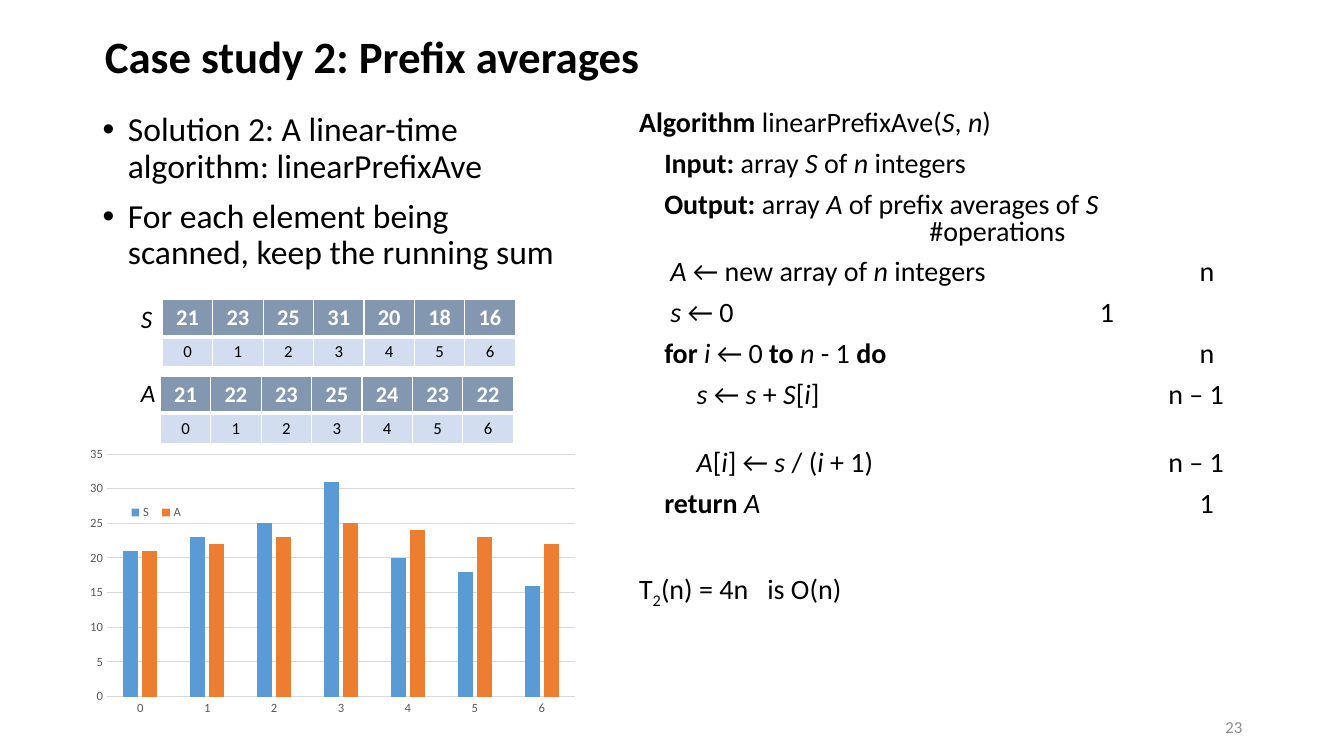
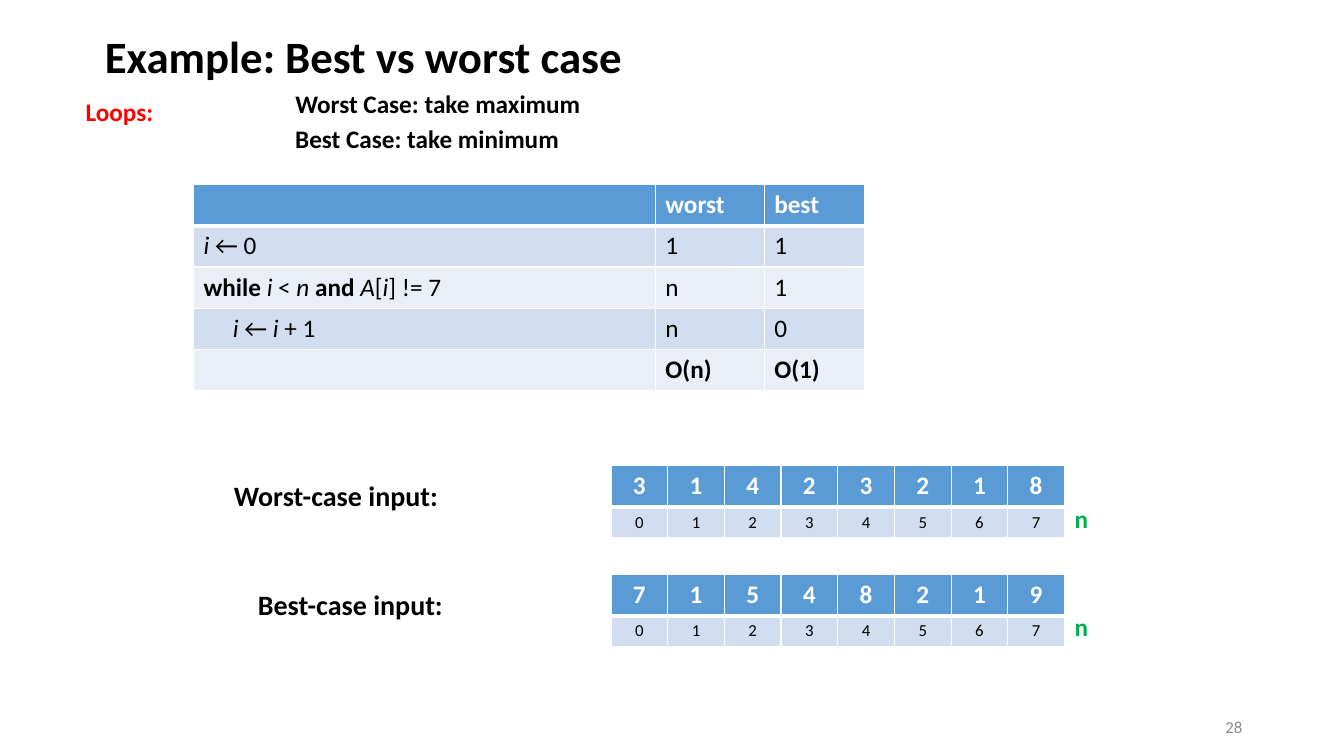
import pptx
import pptx.chart.data
import pptx.dml.color
import pptx.enum.chart
import pptx.enum.text
import pptx.oxml
import pptx.oxml.ns
import pptx.util
from pptx.util import Inches

FONT = "Calibri"
BLACK, WHITE, RED, GREEN = "000000", "FFFFFF", "FF0000", "00B050"
BLUE, ORANGE, SLATE = "5B9BD5", "ED7D31", "8497B0"
PALE, PALER = "D2DEEF", "EAEFF7"
GRID, AXIS_TEXT, NUMBER_TEXT = "D9D9D9", "595959", "8C8C8C"
ALIGN = pptx.enum.text.PP_ALIGN
ANCHOR = pptx.enum.text.MSO_ANCHOR
AUTO_SIZE = pptx.enum.text.MSO_AUTO_SIZE

PSEUDOCODE = [
    (0, [("Algorithm ", "b"), "linearPrefixAve(", ("S", "i"), ", ", ("n", "i"), ")"], 0, "", 10),
    (0.25, [("Input:", "b"), " array ", ("S", "i"), " of ", ("n", "i"), " integers"], 0, "", 10),
    (0.25, [("Output:", "b"), " array ", ("A", "i"), " of prefix averages of ", ("S", "i")], 0, "", 10),
    (2.88, ["#operations"], 0, "", 0),
    (0.31, [("A ", "i"), "← new array of ", ("n", "i"), " integers"], 5.56, "n", 10),
    (0.31, [("s ", "i"), "← 0"], 4.57, "1", 10),
    (0.25, [("for ", "b"), ("i ", "i"), "← 0 ", ("to ", "b"), ("n", "i"), " - 1 ", ("do", "b")],
     5.56, "n", 10),
    (0.57, [("s ", "i"), "← ", ("s", "i"), " + ", ("S", "i"), "[", ("i", "i"), "]"], 5.25, "n – 1", 10),
    (0.57, [("A", "i"), "[", ("i", "i"), "] ← ", ("s", "i"), " / (", ("i", "i"), " + 1)"],
     5.25, "n – 1", 29.5),
    (0.25, [("return ", "b"), ("A", "i")], 5.56, "1", 10),
    (0, ["T", ("2", "sub"), "(n) = 4n   is O(n)"], 0, "", 40),
]

COST_ROWS = [
    (0, [], "worst", "best"),
    (0, [("i ", "i"), "← 0"], "1", "1"),
    (0, [("while ", "b"), ("i", "i"), " < ", ("n ", "i"), ("and ", "b"), ("A", "i"), "[", ("i", "i"),
         "] != 7"], "n", "1"),
    (0.29, [("i ", "i"), "← ", ("i", "i"), " + 1"], "n", "0"),
    (0, [], "O(n)", "O(1)"),
]


def rgb(value):
    return pptx.dml.color.RGBColor.from_string(value)


def style_font(font, size, color, bold=False, italic=False):
    font.name = FONT
    font.size = pptx.util.Pt(size)
    font.color.rgb = rgb(color)
    font.bold = bold
    font.italic = italic


def add_runs(paragraph, pieces, size, color=BLACK, bold=False):
    for piece in pieces:
        text, style = (piece, "") if isinstance(piece, str) else piece
        run = paragraph.add_run()
        run.text = text
        style_font(run.font, size, color, bold or style == "b", style == "i")
        if style == "sub":
            run.font._element.set("baseline", "-25000")


def add_element(parent, tag, **attributes):
    element = pptx.oxml.ns.qn(tag)
    child = parent.makeelement(element, {name: str(value) for name, value in attributes.items()})
    parent.append(child)
    return child


def add_text_frame(slide, left, top, width, height):
    shape = slide.shapes.add_textbox(Inches(left), Inches(top), Inches(width), Inches(height))
    shape.text_frame.word_wrap = True
    return shape.text_frame


def add_paragraph(frame, is_first, line_spacing, space_before):
    paragraph = frame.paragraphs[0] if is_first else frame.add_paragraph()
    paragraph.line_spacing = line_spacing
    paragraph.space_before = pptx.util.Pt(space_before)
    return paragraph


def add_label(slide, left, top, width, height, text, size=18, color=BLACK, style="b"):
    frame = add_text_frame(slide, left, top, width, height)
    frame.word_wrap = False
    frame.auto_size = AUTO_SIZE.SHAPE_TO_FIT_TEXT
    add_runs(frame.paragraphs[0], [(text, style)], size, color)


def add_titled_slide(presentation, title, number):
    slide = presentation.slides.add_slide(presentation.slide_layouts[5])
    shape = slide.shapes.title
    shape.left, shape.top = Inches(0.94), Inches(0.13)
    shape.width, shape.height = Inches(11.5), Inches(0.92)
    frame = shape.text_frame
    frame.auto_size = AUTO_SIZE.NONE
    frame.vertical_anchor = ANCHOR.MIDDLE
    paragraph = frame.paragraphs[0]
    paragraph.alignment = ALIGN.LEFT
    paragraph.line_spacing = 0.9
    add_runs(paragraph, [title], 32, bold=True)

    number_frame = add_text_frame(slide, 9.42, 7.08, 3, 0.27)
    number_frame.vertical_anchor = ANCHOR.MIDDLE
    number_frame.paragraphs[0].alignment = ALIGN.RIGHT
    add_runs(number_frame.paragraphs[0], [str(number)], 12, NUMBER_TEXT)
    return slide


def add_bullets(slide, left, top, width, height, items):
    frame = add_text_frame(slide, left, top, width, height)
    for index, item in enumerate(items):
        paragraph = add_paragraph(frame, index == 0, 0.9, 10)
        properties = paragraph._p.get_or_add_pPr()
        properties.set("marL", str(Inches(0.25)))
        properties.set("indent", str(Inches(-0.25)))
        add_element(properties, "a:buFont", typeface="Arial")
        add_element(properties, "a:buChar", char="•")
        add_runs(paragraph, [item], 24)


def add_pseudocode(slide, left, top, width, height, lines):
    frame = add_text_frame(slide, left, top, width, height)
    for index, (indent, code, count_stop, count, space_before) in enumerate(lines):
        paragraph = add_paragraph(frame, index == 0, 0.8, space_before)
        stops = [stop for stop in (indent, count_stop) if stop]
        if stops:
            tab_list = add_element(paragraph._p.get_or_add_pPr(), "a:tabLst")
            for stop in stops:
                add_element(tab_list, "a:tab", pos=Inches(stop), algn="l")
        leading = ["\t"] if indent else []
        trailing = ["\t" + count] if count else []
        add_runs(paragraph, leading + code + trailing, 20)


def style_cell(cell, fill, bottom_width=1):
    cell.fill.solid()
    cell.fill.fore_color.rgb = rgb(fill)
    properties = cell._tc.get_or_add_tcPr()
    widths = (("L", 1), ("R", 1), ("T", 1), ("B", bottom_width))
    for position, (side, width) in enumerate(widths):
        line = add_element(properties, "a:ln" + side, w=pptx.util.Pt(width))
        add_element(add_element(line, "a:solidFill"), "a:srgbClr", val=WHITE)
        properties.insert(position, line)


def add_plain_table(slide, left, top, column_widths, row_heights):
    frame = slide.shapes.add_table(len(row_heights), len(column_widths), Inches(left), Inches(top),
                                   Inches(sum(column_widths)), Inches(sum(row_heights)))
    table = frame.table
    table.first_row = table.horz_banding = False
    for column, width in zip(table.columns, column_widths):
        column.width = Inches(width)
    for row, height in zip(table.rows, row_heights):
        row.height = Inches(height)
    return table


def add_array(slide, left, top, width, values, fill, size, value_height):
    count = len(values)
    table = add_plain_table(slide, left, top, [width / count] * count, [value_height, 0.3])
    for index, value in enumerate(values):
        cells = table.cell(0, index), table.cell(1, index)
        style_cell(cells[0], fill, 3)
        style_cell(cells[1], PALE)
        for cell in cells:
            cell.text_frame.paragraphs[0].alignment = ALIGN.CENTER
        add_runs(cells[0].text_frame.paragraphs[0], [str(value)], size, WHITE, True)
        add_runs(cells[1].text_frame.paragraphs[0], [str(index)], 12)


def add_cost_table(slide, left, top, rows):
    table = add_plain_table(slide, left, top, [4.58, 1.08, 1], [0.41] * len(rows))
    last = len(rows) - 1
    for row, (indent, code, worst, best) in enumerate(rows):
        is_header = row == 0
        fill = BLUE if is_header else (PALE if row % 2 else PALER)
        for column, pieces in enumerate((code, [worst], [best])):
            cell = table.cell(row, column)
            style_cell(cell, fill, 3 if is_header else 1)
            paragraph = cell.text_frame.paragraphs[0]
            if indent and column == 0:
                paragraph._p.get_or_add_pPr().set("marL", str(Inches(indent)))
            add_runs(paragraph, pieces, 18, WHITE if is_header else BLACK, row in (0, last))


def set_layout(parent, position, box, is_plot=False):
    for old in parent.findall(pptx.oxml.ns.qn("c:layout")):
        parent.remove(old)
    layout = add_element(parent, "c:layout")
    manual = add_element(layout, "c:manualLayout")
    if is_plot:
        add_element(manual, "c:layoutTarget", val="inner")
    for name in ("xMode", "yMode"):
        add_element(manual, "c:" + name, val="edge")
    for name, value in zip("xywh", box):
        add_element(manual, "c:" + name, val=value)
    parent.insert(position, layout)


def add_averages_chart(slide, left, top, width, height, series_values):
    data = pptx.chart.data.CategoryChartData()
    data.categories = [str(index) for index in range(len(series_values["S"]))]
    for name, values in series_values.items():
        data.add_series(name, values)
    chart = slide.shapes.add_chart(pptx.enum.chart.XL_CHART_TYPE.COLUMN_CLUSTERED, Inches(left),
                                   Inches(top), Inches(width), Inches(height), data).chart
    chart.has_title = False
    style_font(chart.font, 10, BLACK)
    plot = chart.plots[0]
    plot.vary_by_categories = False
    plot.gap_width, plot.overlap = 219, -27
    for series, color in zip(plot.series, (BLUE, ORANGE)):
        series.format.fill.solid()
        series.format.fill.fore_color.rgb = rgb(color)

    category_axis, value_axis = chart.category_axis, chart.value_axis
    for axis in (category_axis, value_axis):
        axis.major_tick_mark = axis.minor_tick_mark = pptx.enum.chart.XL_TICK_MARK.NONE
        style_font(axis.tick_labels.font, 9, AXIS_TEXT)
    value_axis.minimum_scale, value_axis.maximum_scale, value_axis.major_unit = 0, 35, 5
    value_axis.format.line.fill.background()
    value_axis.has_major_gridlines = True
    for line in (category_axis.format.line, value_axis.major_gridlines.format.line):
        line.color.rgb = rgb(GRID)
        line.width = pptx.util.Pt(0.75)

    chart.has_legend = True
    chart.legend.position = pptx.enum.chart.XL_LEGEND_POSITION.BOTTOM
    chart.legend.include_in_layout = False
    style_font(chart.legend.font, 9, AXIS_TEXT)
    set_layout(chart.legend._element, 1, (0.1, 0.21, 0.13, 0.08))
    set_layout(chart._chartSpace.chart.plotArea, 0, (0.07, 0.05, 0.9, 0.83), True)


def build_prefix_averages(presentation):
    slide = add_titled_slide(presentation, "Case study 2: Prefix averages", 23)
    add_bullets(slide, 0.92, 1.07, 4.81, 1.8,
                ["Solution 2: A linear-time algorithm: linearPrefixAve",
                 "For each element being scanned, keep the running sum"])
    add_pseudocode(slide, 6.24, 1.05, 6.53, 5.32, PSEUDOCODE)
    arrays = {"S": [21, 23, 25, 31, 20, 18, 16], "A": [21, 22, 23, 25, 24, 23, 22]}
    add_averages_chart(slide, 0.7, 4.36, 5.16, 2.9, arrays)
    for name, left, top, label_top in (("S", 1.61, 2.97, 2.96), ("A", 1.59, 3.73, 3.69)):
        add_array(slide, left, top, 3.5, arrays[name], SLATE, 16, 0.37)
        add_label(slide, 1.3, label_top, 0.33, 0.4, name, style="i")


def build_best_and_worst(presentation):
    slide = add_titled_slide(presentation, "Example: Best vs worst case", 28)
    add_label(slide, 0.75, 0.91, 1.32, 0.5, "Loops:", color=RED)
    add_label(slide, 2.83, 0.83, 3.05, 0.4, "Worst Case: take maximum")
    add_label(slide, 2.83, 1.17, 2.84, 0.4, "Best Case: take minimum")
    add_cost_table(slide, 1.92, 1.83, COST_ROWS)
    inputs = [("Worst-case input:", 2.22, 2.25, 4.62, [3, 1, 4, 2, 3, 2, 1, 8]),
              ("Best-case input:", 2.46, 2.06, 5.7, [7, 1, 5, 4, 8, 2, 1, 9])]
    for text, left, width, top, values in inputs:
        add_label(slide, left, top + 0.08, width, 0.44, text, size=20)
        add_array(slide, 6.06, top, 4.5, values, BLUE, 18, 0.41)
        add_label(slide, 10.56, top + 0.32, 0.36, 0.4, "n", color=GREEN)


def main():
    presentation = pptx.Presentation()
    presentation.slide_width, presentation.slide_height = Inches(13.33), Inches(7.5)
    build_prefix_averages(presentation)
    build_best_and_worst(presentation)
    presentation.save("out.pptx")


if __name__ == "__main__":
    main()
